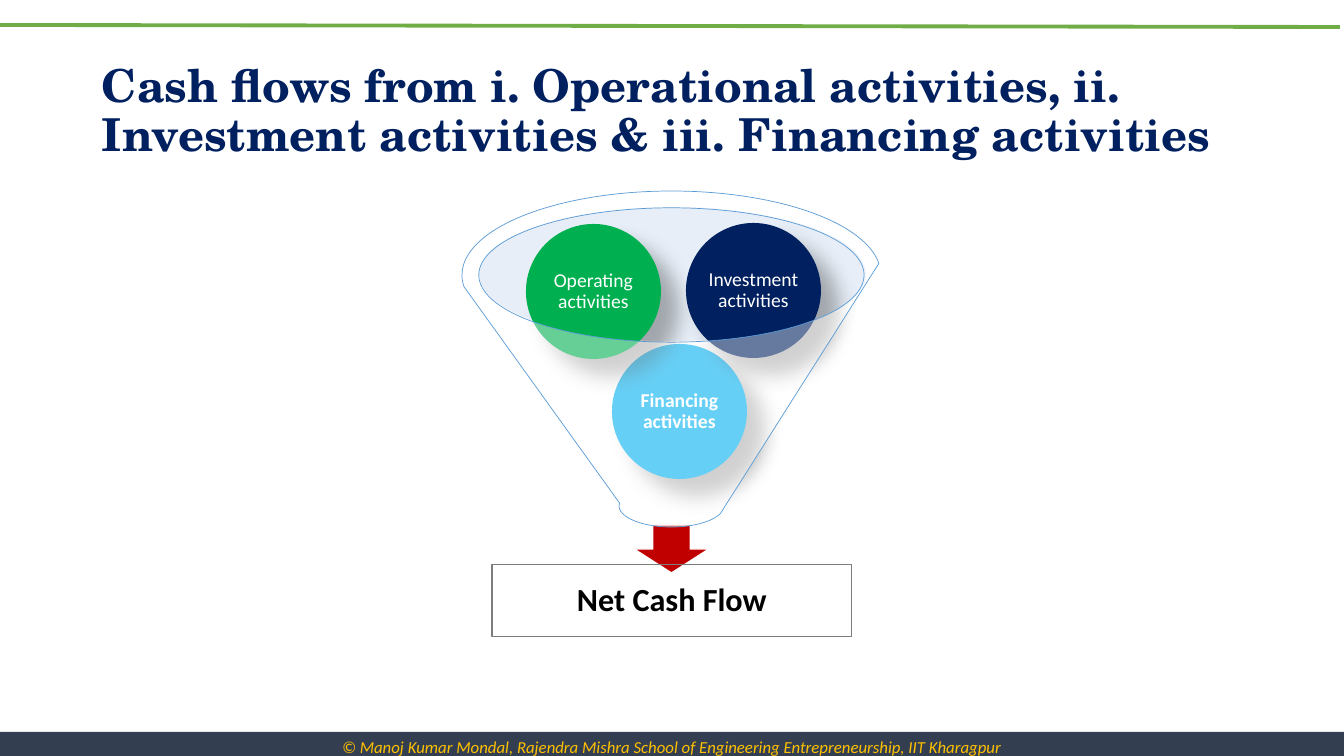
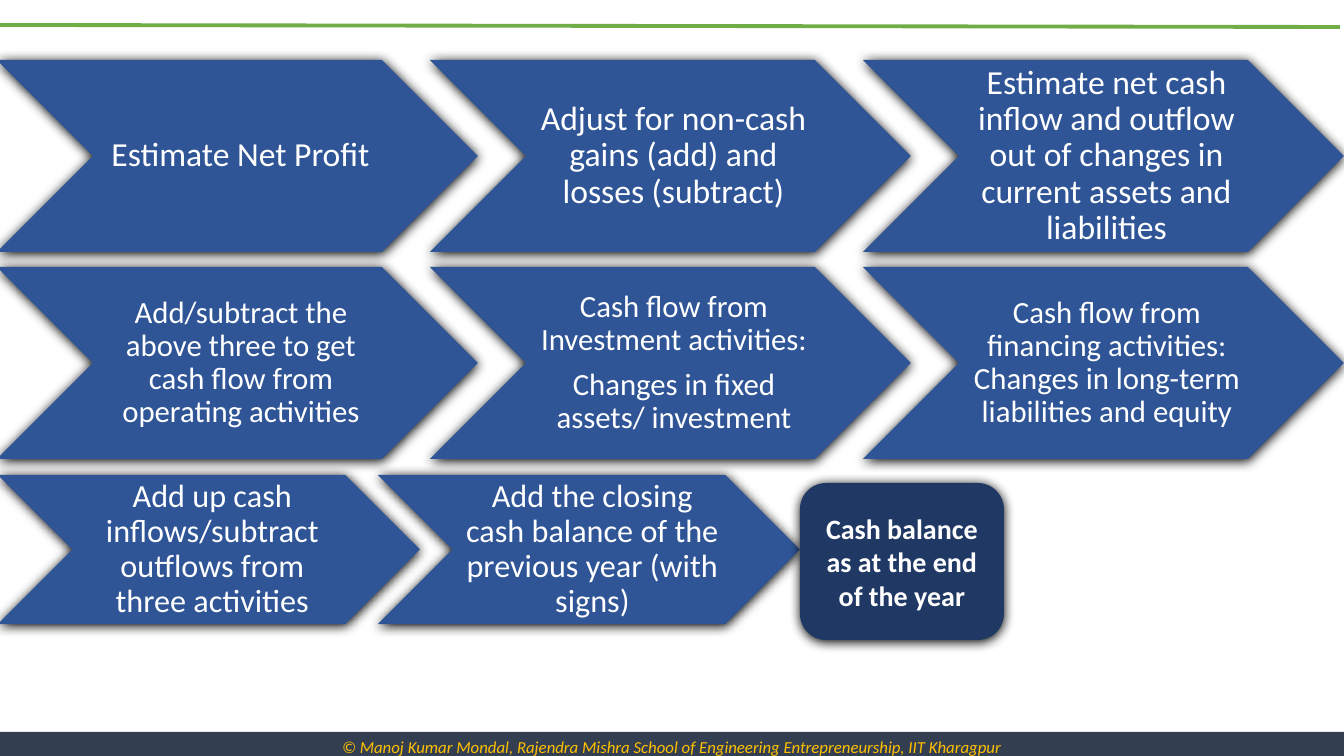
"""Build two slides on cash flow: a funnel of activities and a chain of steps."""
import dataclasses

import lxml.etree
import pptx
import pptx.dml.color
import pptx.enum.shapes
import pptx.enum.text
import pptx.oxml.ns
import pptx.util

SHAPE = pptx.enum.shapes.MSO_SHAPE
ALIGN = pptx.enum.text.PP_ALIGN
ANCHOR = pptx.enum.text.MSO_ANCHOR
RGB = pptx.dml.color.RGBColor.from_string
qn = pptx.oxml.ns.qn
PX = 914400 / 100.8


@dataclasses.dataclass(frozen=True)
class Theme:
    body_font: str = "Calibri"
    title_font: str = "TeX Gyre Schola"
    white: str = "FFFFFF"
    black: str = "000000"
    navy: str = "002060"
    band: str = "333F50"
    gold: str = "FFC000"
    rule: str = "70AD47"
    mouth: str = "C4D5EB"
    rim: str = "5B9BD5"
    arrow: str = "C00000"
    frame: str = "7C7C7C"
    operating: str = "00B050"
    financing: str = "00B0F0"
    step: str = "2F5597"
    result: str = "203864"
    footer_size: float = 12
    circle_size: float = 14
    result_size: float = 20
    net_size: float = 23
    title_size: float = 32.4
    soft_shadow: tuple = (30, 15, 18, 45)
    tight_shadow: tuple = (100, 8.5, 1, 90)


theme = Theme()


def draw(page, kind, box, fill=None, alpha=100, line=None, shadow=None):
    shape = page.shapes.add_shape(kind, *(round(v * PX) for v in box))
    shape.shadow.inherit = False
    if fill:
        shape.fill.solid()
        shape.fill.fore_color.rgb = RGB(fill)
    else:
        shape.fill.background()
    if alpha < 100:
        color = shape.element.spPr.find(qn("a:solidFill")).find(qn("a:srgbClr"))
        lxml.etree.SubElement(color, qn("a:alpha"), val=str(alpha * 1000))
    if line:
        shape.line.color.rgb = RGB(line[0])
        shape.line.width = pptx.util.Pt(line[1])
    else:
        shape.line.fill.background()
    if shadow:
        opacity, blur, distance, angle = shadow
        outer = lxml.etree.SubElement(
            shape.element.spPr.find(qn("a:effectLst")), qn("a:outerShdw"),
            blurRad=str(pptx.util.Pt(blur)), dist=str(pptx.util.Pt(distance)),
            dir=str(angle * 60000), algn="ctr", rotWithShape="0")
        color = lxml.etree.SubElement(outer, qn("a:srgbClr"), val=theme.black)
        lxml.etree.SubElement(color, qn("a:alpha"), val=str(opacity * 1000))
    return shape


def write(shape, text, size, color=theme.white, font=theme.body_font, bold=False,
          italic=False, align=ALIGN.CENTER, spacing=0.9, insets=(10, 5, 10, 5)):
    frame = shape.text_frame
    frame.word_wrap = True
    frame.vertical_anchor = ANCHOR.MIDDLE
    (frame.margin_left, frame.margin_top,
     frame.margin_right, frame.margin_bottom) = (round(v * PX) for v in insets)
    for index, words in enumerate(text.split("\n")):
        para = frame.add_paragraph() if index else frame.paragraphs[0]
        para.alignment = align
        para.line_spacing = spacing
        para.space_before = pptx.util.Pt(round(size * 0.35) if index else 0)
        span = para.add_run()
        span.text = words
        span.font.name = font
        span.font.size = pptx.util.Pt(size)
        span.font.bold = bold
        span.font.italic = italic
        span.font.color.rgb = RGB(color)


deck = pptx.Presentation()
deck.slide_width = round(1344 * PX)
deck.slide_height = round(756 * PX)
pages = [deck.slides.add_slide(deck.slide_layouts[6]) for _ in range(2)]
funnel_page, steps_page = pages

for page in pages:
    footer = draw(page, SHAPE.RECTANGLE, (0, 732, 1344, 30), theme.band)
    write(footer, "© Manoj Kumar Mondal, Rajendra Mishra School of Engineering "
          "Entrepreneurship, IIT Kharagpur", theme.footer_size, theme.gold,
          italic=True, spacing=1.0)
    rule = page.shapes.add_connector(
        pptx.enum.shapes.MSO_CONNECTOR.STRAIGHT,
        *(round(v * PX) for v in (0, 25, 1340, 27)))
    rule.line.color.rgb = RGB(theme.rule)
    rule.line.width = pptx.util.Pt(2.75)
    lxml.etree.SubElement(rule.element.spPr, qn("a:effectLst"))

title = funnel_page.shapes.add_textbox(*(round(v * PX) for v in (92, 50, 1159, 125)))
write(title, "Cash flows from i. Operational activities, ii. Investment activities "
      "& iii. Financing activities", theme.title_size, theme.navy,
      theme.title_font, bold=True, align=ALIGN.LEFT)

draw(funnel_page, SHAPE.OVAL, (479, 207, 387, 134), theme.mouth, alpha=40)
draw(funnel_page, SHAPE.DOWN_ARROW, (634, 525, 75, 48), theme.arrow,
     line=(theme.white, 1))
net = draw(funnel_page, SHAPE.RECTANGLE, (492, 565, 360, 72), line=(theme.frame, 0.75))
write(net, "Net Cash Flow", theme.net_size, theme.black, bold=True,
      insets=(18, 18, 18, 18))

circles = [
    ("Financing activities", 612, 344, theme.financing, True),
    ("Operating activities", 526, 224, theme.operating, False),
    ("Investment activities", 686, 223, theme.navy, False),
]
for text, left, top, color, bold in circles:
    circle = draw(funnel_page, SHAPE.OVAL, (left, top, 135, 135), color,
                  shadow=theme.soft_shadow)
    write(circle, text, theme.circle_size, bold=bold, insets=(2, 2, 2, 2))
draw(funnel_page, SHAPE.FUNNEL, (462, 191, 419, 336), theme.white, alpha=40,
     line=(theme.rim, 0.5))

step_rows = [
    (-3, 60, 433, 481, 192, 24, 4, [
        "Estimate Net Profit",
        "Adjust for non-cash gains (add) and losses (subtract)",
        "Estimate net cash inflow and outflow out of changes in current assets "
        "and liabilities"]),
    (-3, 267, 433, 481, 192, 22, 3, [
        "Add/subtract the above three to get cash flow from operating activities",
        "Cash flow from Investment activities:\nChanges in fixed assets/ investment",
        "Cash flow from financing activities: Changes in long-term liabilities "
        "and equity"]),
    (-2, 475, 380, 422, 149, 23, 3, [
        "Add up cash inflows/subtract outflows from three activities",
        "Add the closing cash balance of the previous year (with signs)"]),
]
for left, top, pitch, width, height, size, inset, texts in step_rows:
    for column, text in enumerate(texts):
        step = draw(steps_page, SHAPE.CHEVRON,
                    (left + column * pitch, top, width, height), theme.step,
                    shadow=theme.tight_shadow)
        write(step, text, size, insets=(10, inset, inset, inset))

balance = draw(steps_page, SHAPE.ROUNDED_RECTANGLE, (800, 483, 204, 157), theme.result,
               shadow=theme.tight_shadow)
write(balance, "Cash balance as at the end of the year", theme.result_size,
      bold=True, spacing=1.0)

deck.save("out.pptx")
